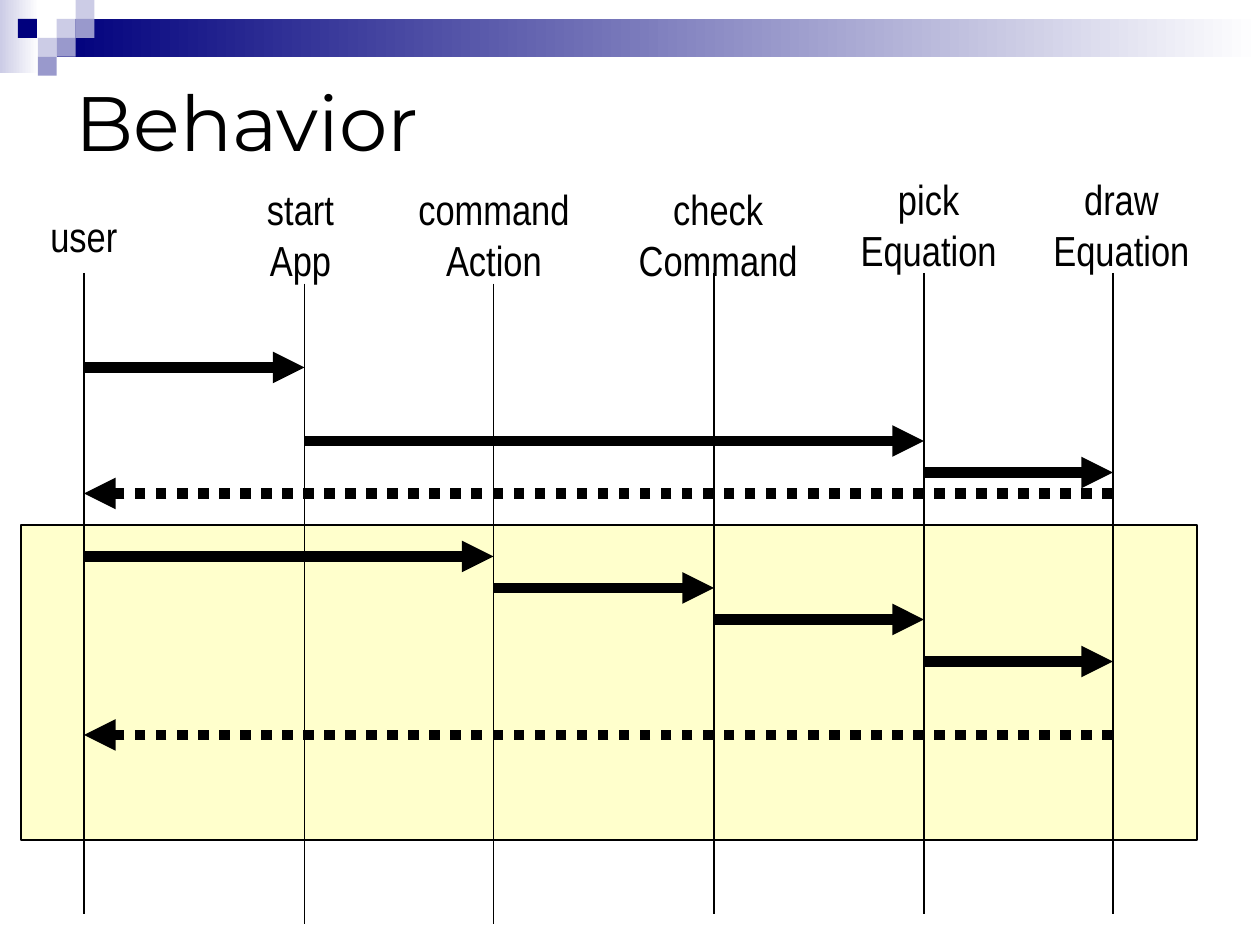
"""Build the Behavior slide: a sequence diagram with six lifelines."""
from lxml import etree
from pptx import Presentation
from pptx.dml.color import RGBColor
from pptx.enum.dml import MSO_LINE
from pptx.enum.shapes import MSO_CONNECTOR, MSO_SHAPE
from pptx.enum.text import MSO_ANCHOR, MSO_AUTO_SIZE, PP_ALIGN
from pptx.oxml.ns import qn
from pptx.util import Inches, Pt

RECT = MSO_SHAPE.RECTANGLE
STRAIGHT = MSO_CONNECTOR.STRAIGHT
DOTTED = MSO_LINE.ROUND_DOT
CENTER, LEFT = PP_ALIGN.CENTER, PP_ALIGN.LEFT
BLACK = RGBColor(0x00, 0x00, 0x00)
WHITE = RGBColor(0xFF, 0xFF, 0xFF)
NAVY = RGBColor(0x00, 0x00, 0x7D)
LILAC = RGBColor(0xCC, 0xCC, 0xE6)
PERIWINKLE = RGBColor(0x99, 0x99, 0xCC)
CREAM = RGBColor(0xFF, 0xFF, 0xCC)
UNIT = Inches(1) // 12
TILE = Inches(0.15)


def add_rect(x, y, w, h, color, fade=False):
    sp = s.shapes.add_shape(RECT, x, y, w, h)
    sp.shadow.inherit = False
    sp.line.fill.background()
    if fade:
        sp.fill.gradient()
        sp.fill.gradient_angle = 180
        for stop, rgb in zip(sp.fill.gradient_stops, (WHITE, color)):
            stop.color.rgb = rgb
    else:
        sp.fill.solid()
        sp.fill.fore_color.rgb = color
    return sp


def add_line(x1, y1, x2, y2, width):
    ends = [UNIT * v for v in (x1, y1, x2, y2)]
    cxn = s.shapes.add_connector(STRAIGHT, *ends)
    cxn.line.color.rgb = BLACK
    cxn.line.width = Pt(width)
    etree.SubElement(cxn._element.spPr, qn("a:effectLst"))
    return cxn


prs = Presentation()
prs.slide_width, prs.slide_height = Inches(10), Inches(7.5)
s = prs.slides.add_slide(prs.slide_layouts[5])

add_rect(0, 0, Inches(0.31), Inches(0.58), LILAC, fade=True)
add_rect(3 * TILE, TILE, prs.slide_width - 3 * TILE, 2 * TILE, NAVY, fade=True)
tiles = [(3, 1, LILAC), (4, 0, LILAC), (4, 1, PERIWINKLE), (2, 2, LILAC),
         (0.95, 1, NAVY), (3, 2, PERIWINKLE), (2, 3, PERIWINKLE)]
for col, row, color in tiles:
    add_rect(int(col * TILE), row * TILE, TILE, TILE, color)

title = s.shapes.title
title.left, title.top = Inches(0.5), Inches(0.5)
title.width, title.height = Inches(9), Inches(0.92)
tf = title.text_frame
tf.auto_size = MSO_AUTO_SIZE.NONE
tf.vertical_anchor = MSO_ANCHOR.MIDDLE
p = tf.paragraphs[0]
p.text = "Behavior"
p.alignment = LEFT
p.font.name, p.font.size = "Montserrat", Pt(44)
p.font.color.rgb = BLACK

band = add_rect(2 * UNIT, 50 * UNIT, 112 * UNIT, 30 * UNIT, CREAM)
band.line.color.rgb = BLACK
band.line.width = Pt(0.75)

USER, START, ACTION, CHECK, PICK, DRAW = 8, 29, 47, 68, 88, 106
lifelines = [
    (USER, 26, "user", 0.3, 1.62, 0.73, 0.5),
    (START, 27, "start\nApp", 2.02, 1.41, 0.73, 0.9),
    (ACTION, 27, "command\nAction", 3.22, 1.41, 1.4, 0.9),
    (CHECK, 26, "check\nCommand", 4.97, 1.41, 1.46, 0.9),
    (PICK, 26, "pick\nEquation", 6.73, 1.33, 1.28, 0.9),
    (DRAW, 26, "draw\nEquation", 8.26, 1.33, 1.28, 0.9),
]
for x, top, label, *box in lifelines:
    tf = s.shapes.add_textbox(*[Inches(v) for v in box]).text_frame
    tf.word_wrap = False
    tf.auto_size = MSO_AUTO_SIZE.SHAPE_TO_FIT_TEXT
    p = tf.paragraphs[0]
    p.text = label
    p.alignment = CENTER
    p.font.name, p.font.size = "Arial Narrow", Pt(24)
    p.font.color.rgb = BLACK
    add_line(x, top, x, top + 61, 0.75)

messages = [
    (USER, START, 35), (START, PICK, 42), (PICK, DRAW, 45), (DRAW, USER, 47),
    (USER, ACTION, 53), (ACTION, CHECK, 56), (CHECK, PICK, 59),
    (PICK, DRAW, 63), (DRAW, USER, 70),
]
for sender, receiver, y in messages:
    cxn = add_line(sender, y, receiver, y, 6)
    if receiver < sender:
        cxn.line.dash_style = DOTTED
    ln = cxn.line._get_or_add_ln()
    etree.SubElement(ln, qn("a:tailEnd"), type="triangle")

prs.save("out.pptx")
